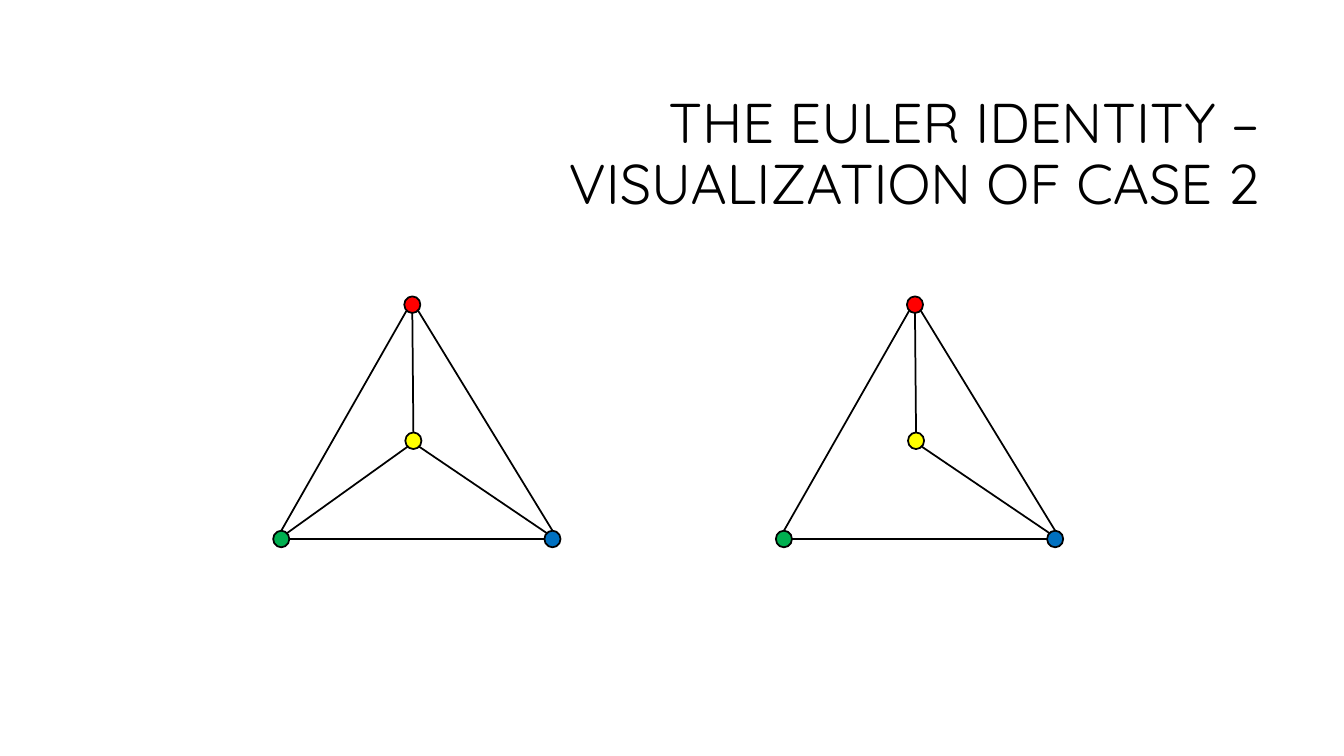
from dataclasses import dataclass
from math import sqrt

from lxml import etree
from pptx import Presentation
from pptx import util as u
from pptx.dml.color import RGBColor
from pptx.enum import shapes, text
from pptx.oxml.ns import qn

SLIDE_WIDTH = u.Inches(13.33)
SLIDE_HEIGHT = u.Inches(7.5)
BLACK = "000000"
VERTEX_WIDTH = 1.2
VERTEX_HEIGHT = 2.2
GRAPH_STEP = 37.4

DIAGONAL = sqrt(0.5)
SITES = {
    "top": (0, -1),
    "bottom": (0, 1),
    "left": (-1, 0),
    "right": (1, 0),
    "top left": (-DIAGONAL, -DIAGONAL),
    "top right": (DIAGONAL, -DIAGONAL),
    "bottom left": (-DIAGONAL, DIAGONAL),
    "bottom right": (DIAGONAL, DIAGONAL),
}


@dataclass(frozen=True)
class Vertex:
    x: float
    y: float
    fill: str

    def site(self, side: str) -> tuple[float, float]:
        dx, dy = SITES[side]
        return self.x + dx * VERTEX_WIDTH / 2, self.y + dy * VERTEX_HEIGHT / 2


@dataclass(frozen=True)
class Edge:
    start: Vertex
    start_side: str
    end: Vertex
    end_side: str


def across(percent: float) -> int:
    return round(SLIDE_WIDTH * percent / 100)


def down(percent: float) -> int:
    return round(SLIDE_HEIGHT * percent / 100)


def colour(value: str) -> RGBColor:
    return RGBColor.from_string(value)


def outline(line) -> None:
    line.color.rgb = colour(BLACK)
    line.width = u.Pt(1.25)


def draw_vertex(group, vertex: Vertex, shift: float) -> None:
    dot = group.shapes.add_shape(
        shapes.MSO_SHAPE.OVAL,
        across(vertex.x + shift - VERTEX_WIDTH / 2),
        down(vertex.y - VERTEX_HEIGHT / 2),
        across(VERTEX_WIDTH),
        down(VERTEX_HEIGHT),
    )
    dot.shadow.inherit = False
    dot.fill.solid()
    dot.fill.fore_color.rgb = colour(vertex.fill)
    outline(dot.line)


def draw_edge(group, edge: Edge, shift: float) -> None:
    start_x, start_y = edge.start.site(edge.start_side)
    end_x, end_y = edge.end.site(edge.end_side)
    link = group.shapes.add_connector(
        shapes.MSO_CONNECTOR.STRAIGHT,
        across(start_x + shift), down(start_y),
        across(end_x + shift), down(end_y),
    )
    outline(link.line)
    etree.SubElement(link._element.spPr, qn("a:effectLst"))


def draw_graph(slide, vertices: list[Vertex], edges: list[Edge], shift: float) -> None:
    group = slide.shapes.add_group_shape()
    for vertex in vertices:
        draw_vertex(group, vertex, shift)
    for edge in edges:
        draw_edge(group, edge, shift)


def draw_title(slide, wording: str) -> None:
    title = slide.shapes.add_textbox(across(23.78), down(11.2), across(70.67), down(18.8))
    frame = title.text_frame
    frame.word_wrap = True
    frame.vertical_anchor = text.MSO_ANCHOR.MIDDLE
    frame.text = wording
    heading = frame.paragraphs[0]
    heading.alignment = text.PP_ALIGN.RIGHT
    heading.line_spacing = 0.9
    font = heading.runs[0].font
    font.name = "Quicksand"
    font.size = u.Pt(40)
    font.color.rgb = colour(BLACK)


def main() -> None:
    deck = Presentation()
    deck.slide_width = SLIDE_WIDTH
    deck.slide_height = SLIDE_HEIGHT
    slide = deck.slides.add_slide(deck.slide_layouts[6])
    draw_title(slide, "THE EULER IDENTITY – VISUALIZATION OF CASE 2")

    apex = Vertex(30.68, 40.3, "FF0000")
    centre = Vertex(30.76, 58.3, "FFFF00")
    left_base = Vertex(20.93, 71.3, "00B050")
    right_base = Vertex(41.11, 71.3, "0070C0")
    vertices = [apex, centre, left_base, right_base]

    removed_edge = Edge(centre, "bottom left", left_base, "top right")
    kept_edges = [
        Edge(apex, "bottom", centre, "top"),
        Edge(right_base, "top left", centre, "bottom right"),
        Edge(right_base, "left", left_base, "right"),
        Edge(apex, "bottom left", left_base, "top"),
        Edge(apex, "bottom right", right_base, "top"),
    ]
    for position, edges in enumerate([kept_edges + [removed_edge], kept_edges]):
        draw_graph(slide, vertices, edges, position * GRAPH_STEP)

    deck.save("out.pptx")


if __name__ == "__main__":
    main()
